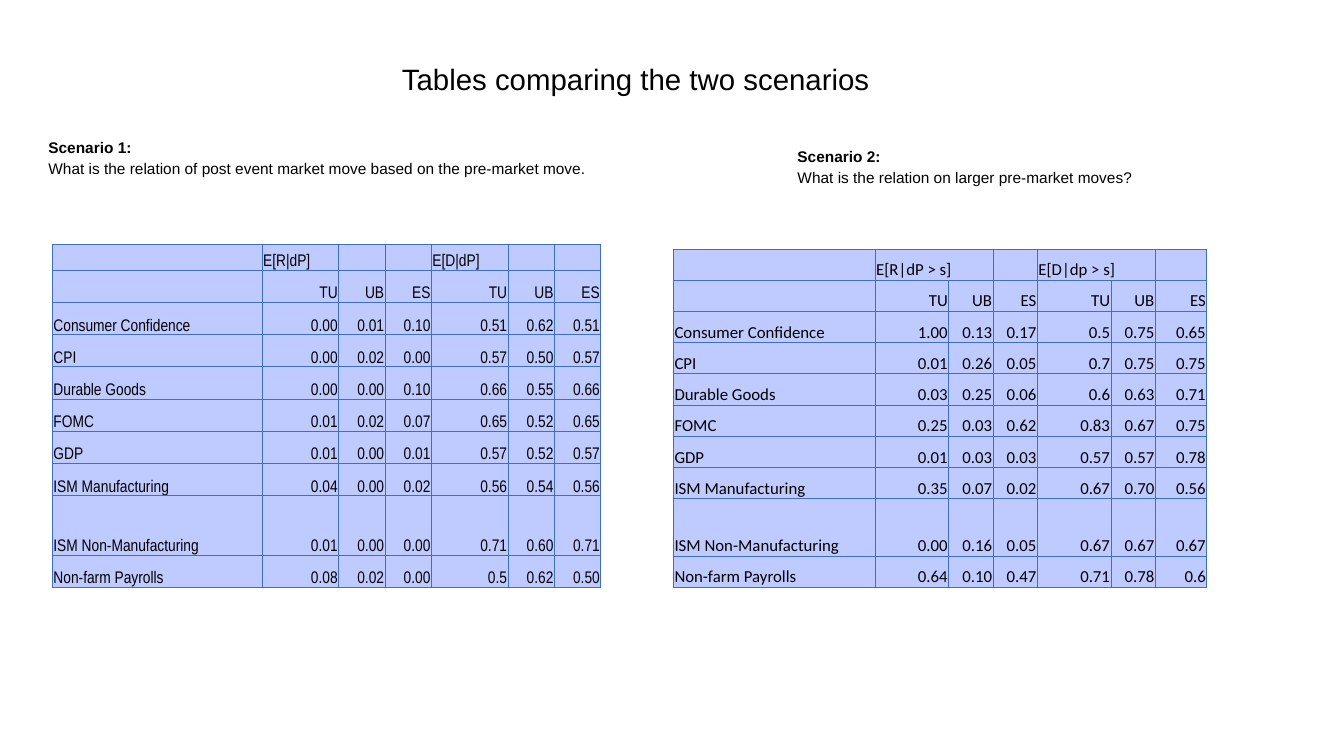
from lxml.etree import SubElement
from pptx import Presentation
from pptx.dml.color import RGBColor
from pptx.enum.text import MSO_ANCHOR as Anchor, MSO_AUTO_SIZE as Fit, PP_ALIGN as Align
from pptx.oxml.ns import qn
from pptx.util import Inches, Pt

INK, FILL, EDGE = "000000", "BFCBFF", "3F6FC3"
EVENTS = ["Consumer Confidence", "CPI", "Durable Goods", "FOMC", "GDP",
          "ISM Manufacturing", "ISM Non-Manufacturing", "Non-farm Payrolls"]
MARKETS = ["TU", "UB", "ES"]

# One line per event: three E[R] values, then three E[D] values
FIRST = """0.00 0.01 0.10 0.51 0.62 0.51
0.00 0.02 0.00 0.57 0.50 0.57
0.00 0.00 0.10 0.66 0.55 0.66
0.01 0.02 0.07 0.65 0.52 0.65
0.01 0.00 0.01 0.57 0.52 0.57
0.04 0.00 0.02 0.56 0.54 0.56
0.01 0.00 0.00 0.71 0.60 0.71
0.08 0.02 0.00 0.5 0.62 0.50"""
SECOND = """1.00 0.13 0.17 0.5 0.75 0.65
0.01 0.26 0.05 0.7 0.75 0.75
0.03 0.25 0.06 0.6 0.63 0.71
0.25 0.03 0.62 0.83 0.67 0.75
0.01 0.03 0.03 0.57 0.57 0.78
0.35 0.07 0.02 0.67 0.70 0.56
0.00 0.16 0.05 0.67 0.67 0.67
0.64 0.10 0.47 0.71 0.78 0.6"""


def color(text):
    return RGBColor.from_string(text)


def add_run(para, text, size, face="Arial", bold=False):
    run = para.add_run()
    run.text = text
    font = run.font
    font.size, font.name, font.bold = Pt(size), face, bold
    font.color.rgb = color(INK)


def set_frame(frame, fit, anchor):
    frame.margin_left = frame.margin_right = Inches(0.05)
    frame.margin_top = frame.margin_bottom = Inches(0.05)
    frame.word_wrap = False
    frame.auto_size = fit
    frame.vertical_anchor = anchor


def add_title(slide, text):
    title = slide.shapes.title
    title.left, title.top = Inches(3.9), Inches(0.52)
    title.width, title.height = Inches(4.81), Inches(0.45)
    set_frame(title.text_frame, Fit.NONE, Anchor.MIDDLE)
    para = title.text_frame.paragraphs[0]
    para.alignment = Align.CENTER
    para.line_spacing, para.space_before = 1.2, Pt(10)
    add_run(para, text, 21)


def add_caption(slide, left, top, width, head, text):
    box = slide.shapes.add_textbox(Inches(left), Inches(top), Inches(width), Inches(0.53))
    frame = box.text_frame
    set_frame(frame, Fit.SHAPE_TO_FIT_TEXT, Anchor.TOP)
    for para, line, bold in ((frame.paragraphs[0], head, True),
                             (frame.add_paragraph(), text, False)):
        para.line_spacing = 1.15
        add_run(para, line, 11, bold=bold)


def add_borders(cell):
    props = cell._tc.get_or_add_tcPr()
    for at, side in enumerate(("lnL", "lnR", "lnT", "lnB")):
        line = props.makeelement(qn("a:" + side), {"w": str(Pt(0.75))})
        fill = SubElement(line, qn("a:solidFill"))
        SubElement(fill, qn("a:srgbClr"), val=EDGE)
        props.insert(at, line)


def fill_cell(cell, text, face, align):
    cell.margin_left = cell.margin_right = cell.margin_top = Inches(0.01)
    cell.margin_bottom = 0
    cell.vertical_anchor = Anchor.BOTTOM
    cell.fill.solid()
    cell.fill.fore_color.rgb = color(FILL)
    add_borders(cell)
    para = cell.text_frame.paragraphs[0]
    para.alignment = align
    if text:
        add_run(para, text, 12, face)
    else:
        # Keep blank cells from stretching their row
        SubElement(para._p, qn("a:endParaRPr"), sz="1200")


def add_grid(slide, left, top, cols, rows, heads, values, face, merge):
    data = [["", heads[0], "", "", heads[1], "", ""], [""] + MARKETS * 2]
    data += [[event] + line.split() for event, line in zip(EVENTS, values.splitlines())]
    frame = slide.shapes.add_table(len(rows), len(cols), Inches(left), Inches(top),
                                   Inches(sum(cols)), Inches(sum(rows)))
    table = frame.table
    table.first_row = table.horz_banding = False
    for col, width in zip(table.columns, cols):
        col.width = Inches(width)
    for row, height in zip(table.rows, rows):
        row.height = Inches(height)
    for r, line in enumerate(data):
        for c, text in enumerate(line):
            align = Align.RIGHT if r and c else Align.LEFT
            fill_cell(table.cell(r, c), text, face, align)
    if merge:
        for c in (1, 4):
            table.cell(0, c).merge(table.cell(0, c + 1))


def main():
    deck = Presentation()
    deck.slide_width, deck.slide_height = Inches(13.33), Inches(7.5)
    slide = deck.slides.add_slide(deck.slide_layouts[5])

    # Headings
    add_title(slide, "Tables comparing the two scenarios")
    add_caption(slide, 0.43, 1.29, 5.45, "Scenario 1:",
                "What is the relation of post event market move based on the pre-market move.")
    add_caption(slide, 7.86, 1.38, 3.44, "Scenario 2:",
                "What is the relation on larger pre-market moves?")

    # Tables
    add_grid(slide, 0.52, 2.43, [2.08] + [0.76, 0.46, 0.46] * 2,
             [0.25] + [0.32] * 7 + [0.59, 0.32],
             ("E[R|dP]", "E[D|dP]"), FIRST, "Arial Narrow", False)
    add_grid(slide, 6.68, 2.47, [2, 0.73, 0.44, 0.44, 0.73, 0.44, 0.51],
             [0.31] * 8 + [0.57, 0.31],
             ("E[R|dP > s]", "E[D|dp > s]"), SECOND, "Calibri", True)

    deck.save("out.pptx")


if __name__ == "__main__":
    main()
